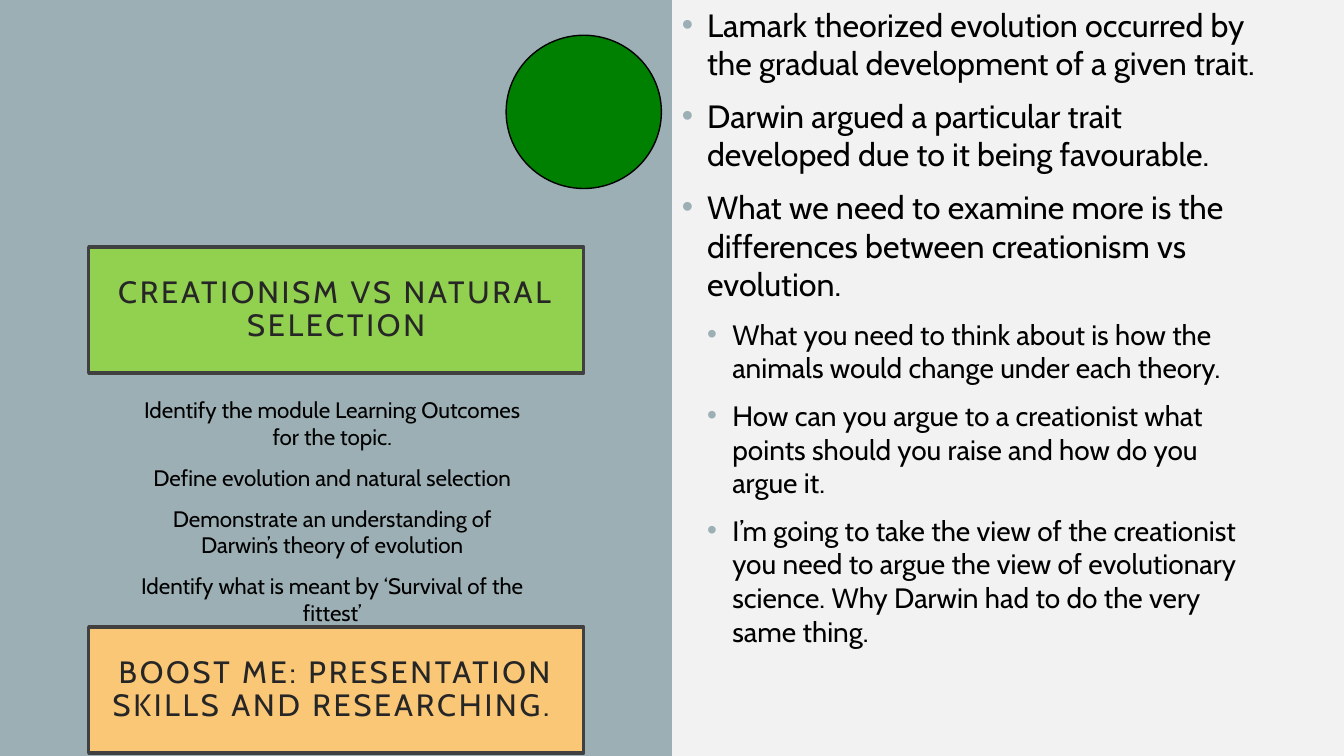
from lxml import etree
from pptx import Presentation
from pptx.dml.color import RGBColor
from pptx.enum.shapes import MSO_SHAPE
from pptx.enum.text import MSO_ANCHOR, PP_ALIGN
from pptx.oxml.ns import qn
from pptx.util import Inches, Pt

RECTANGLE, OVAL = MSO_SHAPE.RECTANGLE, MSO_SHAPE.OVAL
MIDDLE, CENTER = MSO_ANCHOR.MIDDLE, PP_ALIGN.CENTER

SLIDE_W, SLIDE_H = 13.33, 7.5
HALF = SLIDE_W / 2
BANNER_LEFT, BANNER_W, BANNER_H = 0.88, 4.91, 1.25
INDENT = 0.25
FONT = "Cabin"
COLORS = {
    "background": "F2F2F2",
    "panel": "9BAFB5",
    "title": "92D050",
    "boost": "FAC777",
    "circle": "008000",
    "frame": "404040",
    "banner_text": "262626",
    "text": "000000",
}

OUTCOMES = [
    "Identify the module Learning Outcomes for the topic.",
    "Define evolution and natural selection",
    "Demonstrate an understanding of Darwin’s theory of evolution",
    "Identify what is meant by ‘Survival of the fittest’",
]
# (level, text)
ARGUMENTS = [
    (0, "Lamark theorized evolution occurred by the gradual development of a given trait."),
    (0, "Darwin argued a particular trait developed due to it being favourable."),
    (0, "What we need to examine more is the differences between creationism vs evolution."),
    (1, "What you need to think about is how the animals would change under each theory."),
    (1, "How can you argue to a creationist what points should you raise and how do you argue it."),
    (1, "I’m going to take the view of the creationist you need to argue the view of "
        "evolutionary science. Why Darwin had to do the very same thing."),
]
LEVEL_SIZES = [23, 20]


def color(name):
    return RGBColor.from_string(COLORS[name])


def add_block(slide, kind, box, fill, line=None, line_width=0):
    block = slide.shapes.add_shape(kind, *map(Inches, box))
    block.shadow.inherit = False
    block.fill.solid()
    block.fill.fore_color.rgb = color(fill)
    if line:
        block.line.color.rgb = color(line)
        block.line.width = Pt(line_width)
    else:
        block.line.fill.background()
    return block


def style_runs(paragraph, size, color_name):
    for run in paragraph.runs:
        run.font.name = FONT
        run.font.size = Pt(size)
        run.font.color.rgb = color(color_name)


def add_banner(slide, top, fill, wording):
    """Add a framed box with letter-spaced, centred text."""
    banner = add_block(slide, RECTANGLE, (BANNER_LEFT, top, BANNER_W, BANNER_H),
                       fill, "frame", 2.5)
    frame = banner.text_frame
    frame.word_wrap = True
    frame.vertical_anchor = MIDDLE
    frame.margin_left = frame.margin_right = Inches(0.2)
    frame.margin_top = frame.margin_bottom = Inches(0.2)
    frame.text = wording
    paragraph = frame.paragraphs[0]
    paragraph.alignment = CENTER
    paragraph.line_spacing = 0.9
    style_runs(paragraph, 22, "banner_text")
    for run in paragraph.runs:
        run.font._element.set("spc", "200")


def add_paragraphs(slide, box, wordings):
    """Add a text box with one spaced paragraph per wording and return them."""
    frame = slide.shapes.add_textbox(*map(Inches, box)).text_frame
    frame.word_wrap = True
    frame.text = "\n".join(wordings)
    for paragraph in frame.paragraphs[1:]:
        paragraph.space_before = Pt(10)
    return frame.paragraphs


def add_bullet(paragraph, level):
    paragraph.level = level
    properties = paragraph._p.get_or_add_pPr()
    properties.set("marL", str(Inches(INDENT * (level + 1))))
    properties.set("indent", str(-Inches(INDENT)))
    bullet_color = etree.SubElement(properties, qn("a:buClr"))
    etree.SubElement(bullet_color, qn("a:srgbClr"), val=COLORS["panel"])
    etree.SubElement(properties, qn("a:buFont"), typeface="Arial")
    etree.SubElement(properties, qn("a:buChar"), char="•")


def add_outcomes(slide):
    for paragraph in add_paragraphs(slide, (1.22, 3.88, 4.15, 2.4), OUTCOMES):
        paragraph.alignment = CENTER
        style_runs(paragraph, 16, "text")


def add_arguments(slide):
    paragraphs = add_paragraphs(slide, (HALF, 0, 5.97, 6.57),
                                [wording for _, wording in ARGUMENTS])
    for paragraph, (level, _) in zip(paragraphs, ARGUMENTS):
        add_bullet(paragraph, level)
        style_runs(paragraph, LEVEL_SIZES[level], "text")


def main():
    deck = Presentation()
    deck.slide_width, deck.slide_height = Inches(SLIDE_W), Inches(SLIDE_H)
    slide = deck.slides.add_slide(deck.slide_layouts[6])
    slide.background.fill.solid()
    slide.background.fill.fore_color.rgb = color("background")

    add_block(slide, RECTANGLE, (0, 0, HALF, SLIDE_H), "panel")
    add_banner(slide, 2.45, "title", "CREATIONISM VS NATURAL SELECTION")
    add_arguments(slide)
    add_outcomes(slide)
    add_banner(slide, 6.22, "boost", "BOOST ME: PRESENTATION SKILLS AND RESEARCHING. ")
    add_block(slide, OVAL, (5.02, 0.35, 1.54, 1.52), "circle", "text", 1)
    deck.save("out.pptx")


if __name__ == "__main__":
    main()
